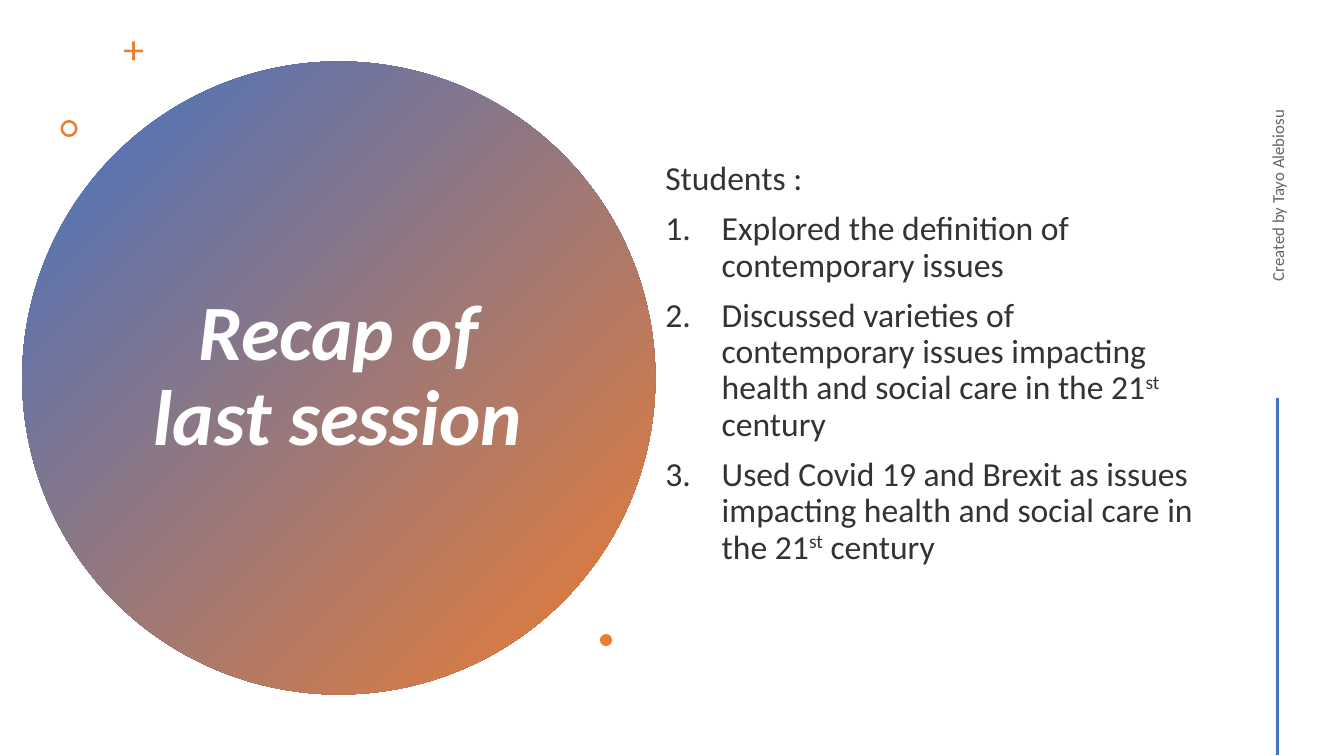
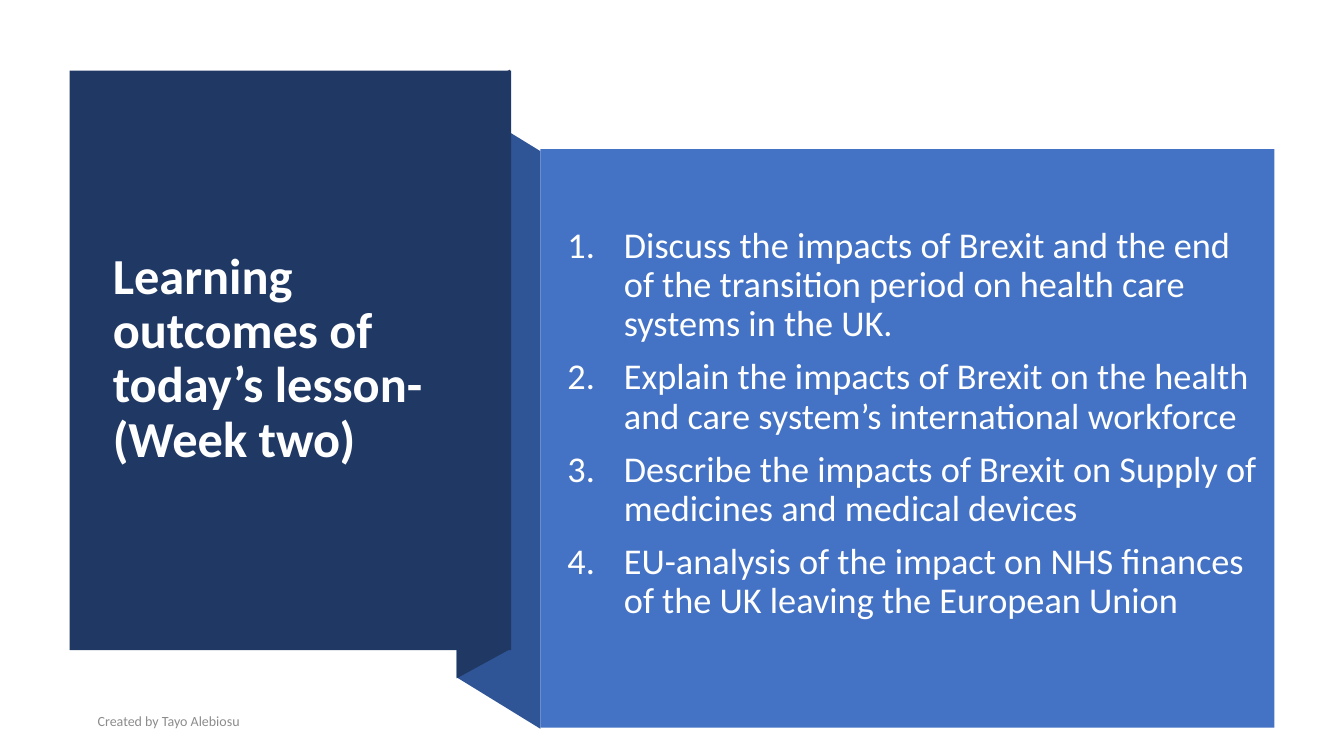
from lxml import etree
from pptx import Presentation
from pptx.dml.color import RGBColor
from pptx.enum.shapes import MSO_CONNECTOR, MSO_SHAPE
from pptx.enum.text import MSO_ANCHOR, PP_ALIGN
from pptx.oxml.ns import qn
from pptx.util import Inches, Pt

FONT = "Calibri"
BLUE = RGBColor(0x44, 0x72, 0xC4)
MID_BLUE = RGBColor(0x2F, 0x55, 0x97)
NAVY = RGBColor(0x20, 0x38, 0x64)
ORANGE = RGBColor(0xED, 0x7D, 0x31)
WHITE = RGBColor(0xFF, 0xFF, 0xFF)
INK = RGBColor(0x33, 0x33, 0x33)
GREY = RGBColor(0x66, 0x66, 0x66)
LIGHT_GREY = RGBColor(0x8C, 0x8C, 0x8C)

CREDIT = "Created by Tayo Alebiosu"

RECAP_TITLE = "Recap of last session"
# Text between carets is superscript
RECAP = [
    "Students :",
    "Explored the definition of contemporary issues",
    "Discussed varieties of contemporary issues impacting health and social "
    "care in the 21^st^ century",
    "Used Covid 19 and Brexit as issues impacting health and social care in "
    "the 21^st^ century",
]
ACCENTS = [
    # preset, left, top, size, first adjustment
    (MSO_SHAPE.CROSS, 1.23, 0.41, 0.19, 0.43),
    (MSO_SHAPE.DONUT, 0.6, 1.19, 0.17, 0.15),
    (MSO_SHAPE.OVAL, 5.95, 6.29, 0.12, None),
]

OUTCOMES_TITLE = "Learning outcomes of today’s lesson-(Week two)"
OUTCOMES = [
    "Discuss the impacts of Brexit and the end of the transition period on "
    "health care systems in the UK.",
    "Explain the impacts of Brexit on the health and care system’s "
    "international workforce",
    "Describe the impacts of Brexit on Supply of medicines and medical devices",
    "EU-analysis of the impact on NHS finances of the UK leaving the European "
    "Union",
]
FOLDS = [
    (MID_BLUE, [(5.36, 7.23), (4.53, 6.72), (4.53, 0.99), (5.36, 1.5)]),
    (NAVY, [(5.06, 6.44), (4.53, 6.73), (4.53, 0.98), (5.06, 0.69)]),
]


def add_number(paragraph):
    """Give the paragraph an automatic number with a hanging indent."""
    props = paragraph._p.get_or_add_pPr()
    props.set("marL", str(Inches(0.56)))
    props.set("indent", str(-Inches(0.56)))
    etree.SubElement(props, qn("a:buAutoNum"), type="arabicPeriod")


def add_text(slide, box, paragraphs, size, color, bold=False, italic=False,
             align=PP_ALIGN.LEFT, spacing=0.9, number_from=None, rotation=0):
    """Write paragraphs, numbering them from index number_from onwards."""
    frame_box = slide.shapes.add_textbox(*map(Inches, box))
    frame_box.rotation = rotation
    frame = frame_box.text_frame
    frame.word_wrap = True
    frame.vertical_anchor = MSO_ANCHOR.MIDDLE
    for index, content in enumerate(paragraphs):
        paragraph = frame.add_paragraph() if index else frame.paragraphs[0]
        paragraph.alignment = align
        paragraph.line_spacing = spacing
        if index:
            paragraph.space_before = Pt(10)
        if number_from is not None and index >= number_from:
            add_number(paragraph)
        for part, words in enumerate(content.split("^")):
            run = paragraph.add_run()
            run.text = words
            font = run.font
            font.name, font.size = FONT, Pt(size)
            font.bold, font.italic = bold, italic
            font.color.rgb = color
            if part % 2:
                run._r.get_or_add_rPr().set("baseline", "30000")


def paint(shape, color):
    shape.shadow.inherit = False
    shape.line.fill.background()
    shape.fill.solid()
    shape.fill.fore_color.rgb = color


def add_preset(slide, preset, box, color):
    shape = slide.shapes.add_shape(preset, *map(Inches, box))
    paint(shape, color)
    return shape


def add_polygon(slide, points, color):
    start, *rest = [(Inches(x), Inches(y)) for x, y in points]
    builder = slide.shapes.build_freeform(*start)
    builder.add_line_segments(rest, close=True)
    paint(builder.convert_to_shape(), color)


def build_recap(slide):
    circle = add_preset(slide, MSO_SHAPE.OVAL, (0.22, 0.61, 6.28, 6.28), BLUE)
    circle.fill.gradient()
    circle.fill.gradient_angle = 315
    for stop, position, color in zip(circle.fill.gradient_stops, (0, 1),
                                     (BLUE, ORANGE)):
        stop.position = position
        stop.color.rgb = color
    add_text(slide, (1.36, 1.41, 3.99, 4.67), [RECAP_TITLE], 56, WHITE,
             bold=True, italic=True, align=PP_ALIGN.CENTER)

    for preset, left, top, size, adjustment in ACCENTS:
        accent = add_preset(slide, preset, (left, top, size, size), ORANGE)
        if adjustment is not None:
            accent.adjustments[0] = adjustment

    add_text(slide, (6.5, 0.42, 5.61, 6.38), RECAP, 24, INK, number_from=1)
    add_text(slide, (10.73, 1.74, 3.88, 0.4), [CREDIT], 12, GREY,
             align=PP_ALIGN.CENTER, spacing=1, rotation=270)

    rule = slide.shapes.add_connector(
        MSO_CONNECTOR.STRAIGHT,
        *map(Inches, (12.67, 3.95, 12.67, 7.49)))
    rule.line.color.rgb = BLUE
    rule.line.width = Pt(2)
    etree.SubElement(rule._element.spPr, qn("a:effectLst"))


def build_outcomes(slide):
    for color, points in FOLDS:
        add_polygon(slide, points, color)
    add_preset(slide, MSO_SHAPE.RECTANGLE, (0.69, 0.7, 4.38, 5.75), NAVY)
    add_text(slide, (1.02, 1.07, 3.71, 4.99), [OUTCOMES_TITLE], 36, WHITE,
             bold=True)
    add_preset(slide, MSO_SHAPE.RECTANGLE, (5.36, 1.48, 7.28, 5.74), BLUE)
    add_text(slide, (5.53, 1.48, 7.1, 5.46), OUTCOMES, 25.9, WHITE,
             number_from=0)
    add_text(slide, (0.87, 6.98, 7.39, 0.35), [CREDIT], 10, LIGHT_GREY,
             spacing=1)


def main():
    deck = Presentation()
    deck.slide_width, deck.slide_height = Inches(13.33), Inches(7.5)
    for build in (build_recap, build_outcomes):
        build(deck.slides.add_slide(deck.slide_layouts[6]))
    deck.save("out.pptx")


if __name__ == "__main__":
    main()
